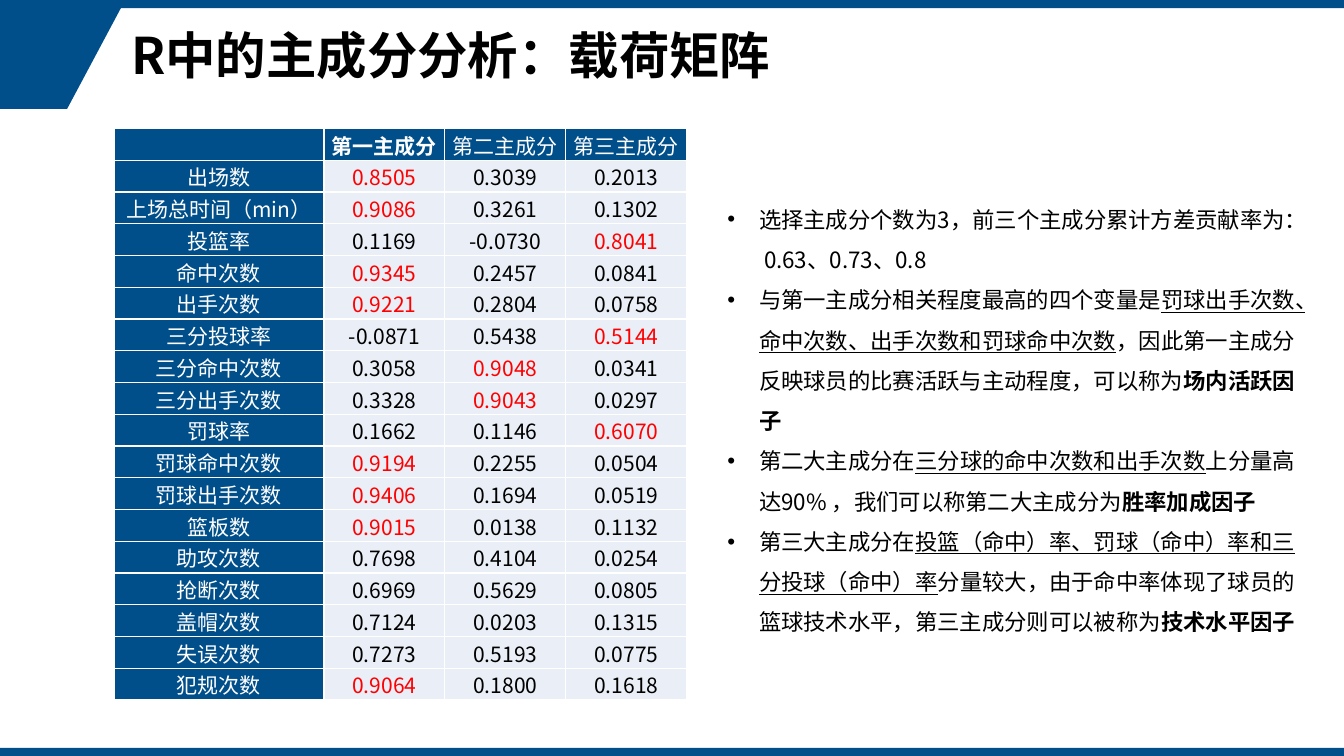
from lxml import etree
from pptx import Presentation
from pptx.dml.color import RGBColor
from pptx.enum import shapes, text
from pptx.oxml import ns
from pptx.util import Pt

FONT = "Noto Sans CJK SC"
BLUE, PALE, WHITE, BLACK, RED = "004F8A", "EAEFF7", "FFFFFF", "000000", "FF0000"
W, H, BAR = 960, 540, 5.76
HEADINGS = ["", "第一主成分", "第二主成分", "第三主成分"]
RED_ABOVE = [0.8, 0.8, 0.5]
LOADINGS = [
    ("出场数", "0.8505", "0.3039", "0.2013"),
    ("上场总时间（min）", "0.9086", "0.3261", "0.1302"),
    ("投篮率", "0.1169", "-0.0730", "0.8041"),
    ("命中次数", "0.9345", "0.2457", "0.0841"),
    ("出手次数", "0.9221", "0.2804", "0.0758"),
    ("三分投球率", "-0.0871", "0.5438", "0.5144"),
    ("三分命中次数", "0.3058", "0.9048", "0.0341"),
    ("三分出手次数", "0.3328", "0.9043", "0.0297"),
    ("罚球率", "0.1662", "0.1146", "0.6070"),
    ("罚球命中次数", "0.9194", "0.2255", "0.0504"),
    ("罚球出手次数", "0.9406", "0.1694", "0.0519"),
    ("篮板数", "0.9015", "0.0138", "0.1132"),
    ("助攻次数", "0.7698", "0.4104", "0.0254"),
    ("抢断次数", "0.6969", "0.5629", "0.0805"),
    ("盖帽次数", "0.7124", "0.0203", "0.1315"),
    ("失误次数", "0.7273", "0.5193", "0.0775"),
    ("犯规次数", "0.9064", "0.1800", "0.1618"),
]
FINDINGS = [
    [("选择主成分个数为3，前三个主成分累计方差贡献率为： 0.63、0.73、0.8", "")],
    [("与第一主成分相关程度最高的四个变量是", ""),
     ("罚球出手次数、命中次数、出手次数和罚球命中次数", "u"),
     ("，因此第一主成分反映球员的比赛活跃与主动程度，可以称为", ""),
     ("场内活跃因子", "b")],
    [("第二大主成分在", ""), ("三分球的命中次数和出手次数", "u"),
     ("上分量高达90% ，我们可以称第二大主成分为", ""), ("胜率加成因子", "b")],
    [("第三大主成分在", ""),
     ("投篮（命中）率、罚球（命中）率和三分投球（命中）率", "u"),
     ("分量较大，由于命中率体现了球员的篮球技术水平，第三主成分则可以被称为", ""),
     ("技术水平因子", "b")],
]


def rgb(value):
    """Turn a hex string into a colour."""
    return RGBColor.from_string(value)


def add(parent, tag, **attrs):
    """Append a drawing element with attributes."""
    return etree.SubElement(parent, ns.qn(tag), attrs)


def style(r, size, color, bold=False, underline=False):
    """Format one run in the slide's font."""
    r.font.size, r.font.bold, r.font.underline = Pt(size), bold, underline
    r.font.color.rgb = rgb(color)
    r.font.name = FONT
    add(r.font._element, "a:ea", typeface=FONT)


def paint(sp):
    """Make a shape plain blue."""
    sp.shadow.inherit = False
    sp.fill.solid()
    sp.fill.fore_color.rgb = rgb(BLUE)
    sp.line.fill.background()


def add_frame(s, x, y, w, h):
    """Draw the top and bottom bars and the slanted corner."""
    fb = s.shapes.build_freeform(Pt(x), Pt(y + BAR))
    fb.add_line_segments([(Pt(x + dx), Pt(y + BAR + dy))
                          for dx, dy in [(86.4, 0), (48, 72), (0, 72)]])
    paint(fb.convert_to_shape())
    for top in (y, y + h - BAR):
        paint(s.shapes.add_shape(shapes.MSO_SHAPE.RECTANGLE, Pt(x), Pt(top), Pt(w), Pt(BAR)))


def add_title(s, x, y, w, h):
    """Place and format the title."""
    sp = s.shapes.title
    sp.left, sp.top, sp.width, sp.height = Pt(x), Pt(y), Pt(w), Pt(h)
    tf = sp.text_frame
    tf.text = "R中的主成分分析：载荷矩阵"
    tf.auto_size = text.MSO_AUTO_SIZE.NONE
    tf.vertical_anchor = text.MSO_ANCHOR.MIDDLE
    p = tf.paragraphs[0]
    p.alignment, p.line_spacing = text.PP_ALIGN.LEFT, 0.9
    style(p.runs[0], 36, BLACK, bold=True)


def fill_cell(cell, value, fill, color, bold):
    """Write one table cell with white borders."""
    cell.margin_left = cell.margin_right = cell.margin_top = Pt(0.72)
    cell.margin_bottom = 0
    cell.vertical_anchor = text.MSO_ANCHOR.MIDDLE
    tcPr = cell._tc.get_or_add_tcPr()
    for side in ("a:lnL", "a:lnR", "a:lnT", "a:lnB"):
        ln = add(tcPr, side, w=str(Pt(1)))
        add(add(ln, "a:solidFill"), "a:srgbClr", val=WHITE)
    cell.fill.solid()
    cell.fill.fore_color.rgb = rgb(fill)
    p = cell.text_frame.paragraphs[0]
    p.text = value
    p.alignment = text.PP_ALIGN.CENTER
    for r in p.runs:
        style(r, 15, color, bold)
    if not value:
        add(p._p, "a:endParaRPr", sz="1500")


def add_loadings(s, x, y, w, h):
    """Build the loading matrix, with high loadings in red."""
    rows = [HEADINGS, *LOADINGS]
    table = s.shapes.add_table(len(rows), 4, Pt(x), Pt(y), Pt(w), Pt(h)).table
    for j, col in enumerate(table.columns):
        col.width = Pt(w - 3 * 86.4 if j == 0 else 86.4)
    for i, values in enumerate(rows):
        table.rows[i].height = Pt(h / len(rows))
        for j, value in enumerate(values):
            if i == 0 or j == 0:
                fill, color = BLUE, WHITE
            else:
                fill = PALE
                color = RED if float(value) > RED_ABOVE[j - 1] else BLACK
            fill_cell(table.cell(i, j), value, fill, color, (i, j) == (0, 1))


def add_findings(s, x, y, w, h):
    """Write the bulleted reading of the components."""
    tf = s.shapes.add_textbox(Pt(x), Pt(y), Pt(w), Pt(h)).text_frame
    tf.word_wrap = True
    for i, parts in enumerate(FINDINGS):
        p = tf.add_paragraph() if i else tf.paragraphs[0]
        p.line_spacing = 1.5
        pPr = p._p.get_or_add_pPr()
        pPr.set("marL", str(Pt(22.5)))
        pPr.set("indent", str(-Pt(22.5)))
        add(pPr, "a:buFont", typeface="Arial")
        add(pPr, "a:buChar", char="•")
        for words, mark in parts:
            r = p.add_run()
            r.text = words
            style(r, 16, BLACK, mark == "b", mark == "u")


def main():
    """Build and save the slide."""
    prs = Presentation()
    prs.slide_width, prs.slide_height = Pt(W), Pt(H)
    s = prs.slides.add_slide(prs.slide_layouts[5])
    add_frame(s, 0, 0, W, H)
    add_title(s, 86.4, BAR, 808, 72)
    add_loadings(s, 81.4, 91.8, 409.2, 408.24)
    add_findings(s, 512.6, 133.9, 427, 324)
    prs.save("out.pptx")


if __name__ == "__main__":
    main()
